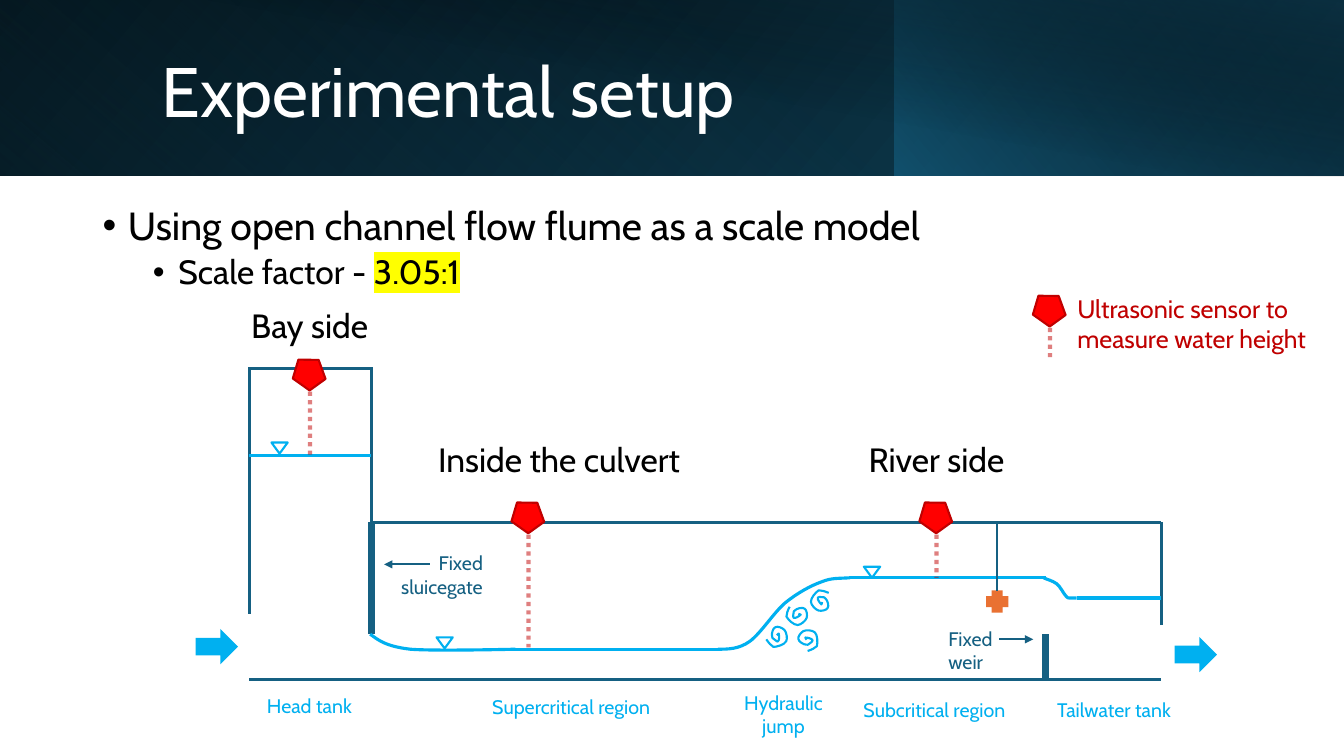
from lxml.etree import SubElement
from pptx import Presentation
from pptx.dml.color import RGBColor
from pptx.enum.dml import MSO_LINE
from pptx.enum.shapes import MSO_CONNECTOR, MSO_SHAPE
from pptx.enum.text import MSO_ANCHOR, MSO_AUTO_SIZE, PP_ALIGN
from pptx.oxml.ns import qn
from pptx.util import Cm, Pt

FONT = "Cabin"
WHITE = RGBColor(0xFF, 0xFF, 0xFF)
BLACK = RGBColor(0x00, 0x00, 0x00)
TEAL = RGBColor(0x15, 0x60, 0x82)
DEEP_TEAL = RGBColor(0x10, 0x48, 0x62)
NIGHT = RGBColor(0x0B, 0x30, 0x41)
WATER = RGBColor(0x00, 0xB0, 0xF0)
RED = RGBColor(0xFF, 0x00, 0x00)
DARK_RED = RGBColor(0xC0, 0x00, 0x00)
ORANGE = RGBColor(0xE9, 0x71, 0x32)
YELLOW = RGBColor(0xFF, 0xFF, 0x00)

SPIRAL = [(.08, 0), (.03, .1), (0, .18), (0, .25), (.05, .33), (.18, .46), (.28, .46),
          (.36, .46), (.48, .36), (.51, .28), (.53, .2), (.51, .08), (.46, .05),
          (.41, 0), (.25, .05), (.23, .08), (.18, .1), (.18, .13), (.18, .15),
          (.18, .2), (.15, .28), (.18, .28), (.23, .3), (.33, .23), (.36, .2),
          (.38, .2), (.3, .18), (.3, .18)]
GATE_OUTFLOW = [(3.05, 6.68), (3.25, 6.83), (3.45, 6.99), (4.06, 7.06),
                (4.67, 7.11), (6.71, 7.06), (6.71, 7.06)]
JUMP = [(11.81, 7.06), (12.07, 7.06), (12.34, 7.06), (12.62, 6.86), (12.9, 6.65),
        (13.21, 6.15), (13.51, 5.89), (13.82, 5.64), (14.15, 5.46), (14.43, 5.36),
        (14.68, 5.26), (14.83, 5.28), (15.14, 5.26)]
WEIR_OVERFLOW = [(20.02, 5.26), (20.12, 5.31), (20.24, 5.33), (20.35, 5.41), (20.45, 5.49),
                 (20.52, 5.66), (20.6, 5.74), (20.68, 5.77), (20.5, 5.77), (20.85, 5.77)]


def add_color(parent, color, alpha=100):
    """Append an RGB colour element with an opacity in percent."""
    element = SubElement(parent, qn("a:srgbClr"), val=str(color))
    if alpha < 100:
        SubElement(element, qn("a:alpha"), val=str(alpha * 1000))


def add_preset(slide, kind, left, top, width, height, fill=None, line=None, rotation=0):
    """Add a preset shape without shadow."""
    shape = slide.shapes.add_shape(kind, Cm(left), Cm(top), Cm(width), Cm(height))
    shape.shadow.inherit = False
    shape.rotation = rotation
    if fill is None:
        shape.fill.background()
    else:
        shape.fill.solid()
        shape.fill.fore_color.rgb = fill
    if line is None:
        shape.line.fill.background()
    else:
        shape.line.color.rgb = line
        shape.line.width = Pt(1.5)
    return shape


def add_line(slide, left, top, start, end, color, width):
    """Add a straight line between two points relative to a box corner."""
    connector = slide.shapes.add_connector(
        MSO_CONNECTOR.STRAIGHT, Cm(left + start[0]), Cm(top + start[1]),
        Cm(left + end[0]), Cm(top + end[1]))
    connector.line.color.rgb = color
    connector.line.width = Pt(width)
    SubElement(connector.element.spPr, qn("a:effectLst"))
    return connector


def add_arrow(slide, left, top, start, end):
    """Add a thin pointer with a triangular head."""
    arrow = add_line(slide, left, top, start, end, TEAL, 1.5)
    SubElement(arrow.line._get_or_add_ln(), qn("a:tailEnd"), type="triangle")


def add_curve(slide, left, top, points, width, rotation=0):
    """Draw chained cubic curves, three points after the start for each."""
    track = [(Cm(left + x), Cm(top + y)) for x, y in points]
    builder = slide.shapes.build_freeform(*track[0])
    builder.add_line_segments(track[1:], close=False)
    shape = builder.convert_to_shape()
    outline = shape.element.spPr.find(".//" + qn("a:path"))
    segments = outline.findall(qn("a:lnTo"))
    for first in range(0, len(segments), 3):
        curve = SubElement(outline, qn("a:cubicBezTo"))
        for segment in segments[first:first + 3]:
            curve.append(segment[0])
            outline.remove(segment)
    shape.shadow.inherit = False
    shape.fill.background()
    shape.line.color.rgb = WATER
    shape.line.width = Pt(width)
    shape.rotation = rotation


def add_label(slide, left, top, width, height, text, size, color, align=PP_ALIGN.CENTER):
    """Add a wrapped text label."""
    box = slide.shapes.add_textbox(Cm(left), Cm(top), Cm(width), Cm(height))
    box.text_frame.word_wrap = True
    paragraph = box.text_frame.paragraphs[0]
    paragraph.text = text
    paragraph.alignment = align
    style_font(paragraph.font, size, color)


def style_font(font, size, color):
    """Set typeface, size and colour."""
    font.name = FONT
    font.size = Pt(size)
    font.color.rgb = color


def add_sensor(slide, left, top, beam_length):
    """Add an ultrasonic sensor with its dotted beam."""
    add_preset(slide, MSO_SHAPE.REGULAR_PENTAGON, left, top, .84, .76, RED, DARK_RED, 35.4)
    beam = add_line(slide, left, top, (.42, .87), (.42, .87 + beam_length), DARK_RED, 3)
    beam.line.dash_style = MSO_LINE.ROUND_DOT
    SubElement(beam.element.spPr.find(".//" + qn("a:srgbClr")), qn("a:alpha"), val="49000")


def add_gradient_panel(slide, left, top, width, height, stops, angle, rotation=0, flip=True):
    """Add a borderless rectangle with a partly transparent gradient."""
    shape = add_preset(slide, MSO_SHAPE.RECTANGLE, left, top, width, height, rotation=rotation)
    if flip:
        shape.element.spPr.find(qn("a:xfrm")).set("flipH", "1")
    shape.fill.gradient()
    gradient = shape.element.spPr.find(qn("a:gradFill"))
    stop_list = gradient.find(qn("a:gsLst"))
    for stop in list(stop_list):
        stop_list.remove(stop)
    for position, color, alpha in stops:
        add_color(SubElement(stop_list, qn("a:gs"), pos=str(position * 1000)), color, alpha)
    direction = gradient.find(qn("a:lin"))
    direction.set("ang", str(angle * 60000))
    direction.set("scaled", "0")


def add_header(slide, left, top, width, height):
    """Fill the header band and place the title on it."""
    add_gradient_panel(slide, left, top, width, height,
                       [(0, BLACK, 100), (100, DEEP_TEAL, 100)], 140)
    add_gradient_panel(slide, left, top, 22.56, height,
                       [(20, TEAL, 0), (100, NIGHT, 55)], 230, rotation=180)
    add_gradient_panel(slide, left + 22.54, top, width - 22.54, height,
                       [(0, TEAL, 66), (100, BLACK, 30)], 220)
    add_gradient_panel(slide, left + 1.27, top, width - 1.27, height + .02,
                       [(50, BLACK, 0), (99, NIGHT, 52)], 280, flip=False)
    title = slide.shapes.title
    slide.shapes._spTree.append(title.element)
    title.left, title.top, title.width, title.height = (
        Cm(left + 3.81), Cm(top + .95), Cm(27.48), Cm(2.87))
    title.text_frame.vertical_anchor = MSO_ANCHOR.MIDDLE
    title.text_frame.auto_size = MSO_AUTO_SIZE.NONE
    paragraph = title.text_frame.paragraphs[0]
    paragraph.text = "Experimental setup"
    paragraph.alignment = PP_ALIGN.LEFT
    paragraph.line_spacing = .9
    style_font(paragraph.font, 50, WHITE)


def add_bullets(slide, left, top, width, height):
    """Fill the body placeholder with the two bullet levels."""
    body = slide.placeholders[1]
    slide.shapes._spTree.append(body.element)
    body.left, body.top, body.width, body.height = Cm(left), Cm(top), Cm(width), Cm(height)
    frame = body.text_frame
    frame.auto_size = MSO_AUTO_SIZE.NONE
    rows = [(["Using open channel flow flume as a scale model"], 28, .64, 0),
            (["Scale factor - ", "3.05:1"], 24, 1.91, 5)]
    for level, (texts, size, margin, space) in enumerate(rows):
        paragraph = frame.add_paragraph() if level else frame.paragraphs[0]
        paragraph.level = level
        properties = paragraph._p.get_or_add_pPr()
        properties.set("marL", str(Cm(margin)))
        properties.set("indent", str(Cm(-.64)))
        SubElement(properties, qn("a:buChar"), char="•")
        paragraph.line_spacing = .9
        paragraph.space_before = Pt(space)
        style_font(paragraph.font, size, BLACK)
        for text in texts:
            paragraph.add_run().text = text
    scale_run = frame.paragraphs[1].runs[1]
    add_color(SubElement(scale_run._r.get_or_add_rPr(), qn("a:highlight")), YELLOW)


def add_flume(slide, left, top, width, height):
    """Draw the flume with its water surface, sensors and labels."""
    walls = [((0, height), (width, height), 2.25), ((3.08, 3.86), (width, 3.86), 2.25),
             ((3.08, 3.86), (3.08, -.05), 2.25), ((0, 6.17), (0, -.05), 2.25),
             ((3.08, -.01), (0, -.01), 2.25), ((3.08, 6.68), (3.08, 3.86), 4.5),
             ((20.07, height), (20.07, 6.68), 4.5), ((width, 6.45), (width, 3.86), 2.25)]
    for start, end, weight in walls:
        add_line(slide, left, top, start, end, TEAL, weight)
    for x1, x2, y in [(0, 3.08, 2.18), (6.63, 11.81, 7.06), (15.14, 20.07, 5.26), (20.85, width, 5.77)]:
        add_line(slide, left, top, (x1, y), (x2, y), WATER, 2.25)
    for points in (GATE_OUTFLOW, JUMP, WEIR_OVERFLOW):
        add_curve(slide, left, top, points, 2.25)
    for x, y in [(.56, 1.85), (4.72, 6.76), (15.49, 4.98)]:
        add_preset(slide, MSO_SHAPE.ISOSCELES_TRIANGLE, left + x, top + y, .41, .28,
                   line=WATER, rotation=180)
    for x, y, beam_length in [(1.11, -.3, 1.61), (6.62, 3.3, 2.84), (16.9, 3.3, 1.09)]:
        add_sensor(slide, left + x, top + y, beam_length)
    for x, y, rotation in [(13.54, 5.99, 0), (14.12, 5.61, 86.7), (13.06, 6.53, 299.3), (13.84, 6.58, 224.9)]:
        add_curve(slide, left + x, top + y, SPIRAL, 1.5, rotation)
    for x, y, w, text in [(-.48, -1.73, 4.01, "Bay side"), (15.21, 1.63, 4.22, "River side"),
                          (4.37, 1.63, 6.88, "Inside the culvert")]:
        add_label(slide, left + x, top + y, w, 1.27, text, 24, BLACK)
    add_label(slide, left + 3.3, top + 4.47, 2.84, 1.45, "Fixed sluicegate", 14, TEAL, PP_ALIGN.RIGHT)
    add_label(slide, left + 17.37, top + 6.37, 1.7, 1.45, "Fixed weir", 14, TEAL, PP_ALIGN.LEFT)
    add_arrow(slide, left, top, (4.55, 4.92), (3.4, 4.92))
    add_arrow(slide, left, top, (18.9, 6.81), (19.76, 6.81))
    regions = [(0, 8.05, 2.84, .86, "Head tank", PP_ALIGN.RIGHT),
               (5.56, 8.09, 4.8, .86, "Supercritical region", PP_ALIGN.RIGHT),
               (12.12, 7.98, 2.69, 1.45, "Hydraulic jump", PP_ALIGN.CENTER),
               (14.51, 8.15, 4.8, .86, "Subcritical region", PP_ALIGN.RIGHT),
               (20.07, 8.15, 3.45, .86, "Tailwater tank", PP_ALIGN.CENTER)]
    for x, y, w, h, text, align in regions:
        add_label(slide, left + x, top + y, w, h, text, 14, WATER, align)
    for x, y in [(-1.35, 6.55), (23.32, 6.75)]:
        add_preset(slide, MSO_SHAPE.RIGHT_ARROW, left + x, top + y, 1.07, .89, WATER)
    add_preset(slide, MSO_SHAPE.CROSS, left + 18.57, top + 5.58, .56, .56, ORANGE)
    add_line(slide, left, top, (18.85, 5.58), (18.85, 3.86), TEAL, 1.5)


def add_legend(slide, left, top, width, height):
    """Explain the sensor symbol."""
    add_sensor(slide, left, top + .13, .76)
    add_label(slide, left + .86, top, width - .86, height,
              "Ultrasonic sensor to measure water height", 18, DARK_RED, PP_ALIGN.LEFT)


def main():
    """Build and save the slide."""
    presentation = Presentation()
    presentation.slide_width, presentation.slide_height = Cm(33.87), Cm(19.05)
    slide = presentation.slides.add_slide(presentation.slide_layouts[1])
    add_header(slide, 0, 0, 33.87, 4.42)
    add_bullets(slide, 2.33, 5.07, 27.76, 2.64)
    add_flume(slide, 6.28, 9.3, 22.99, 7.82)
    add_legend(slide, 26.04, 7.26, 7.65, 1.8)
    presentation.save("out.pptx")


if __name__ == "__main__":
    main()
